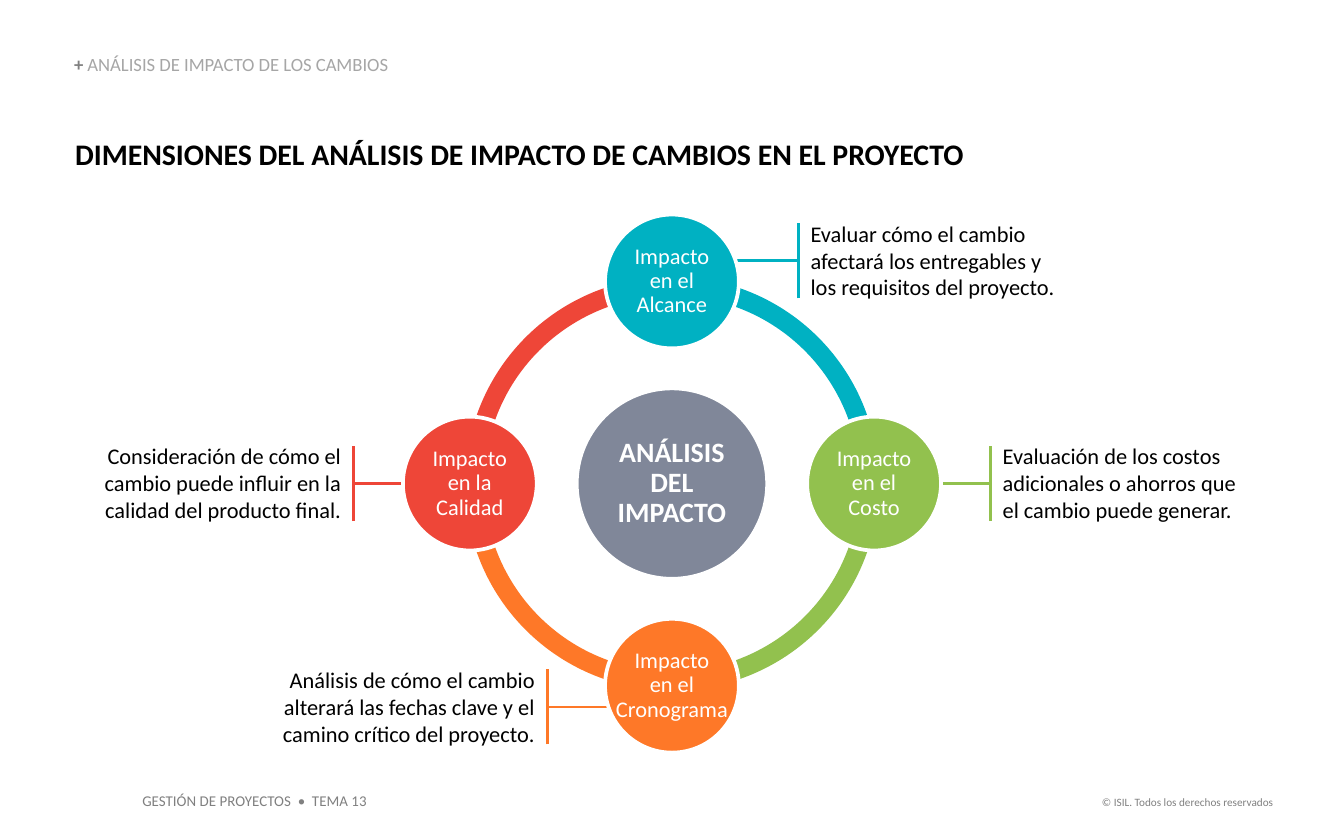
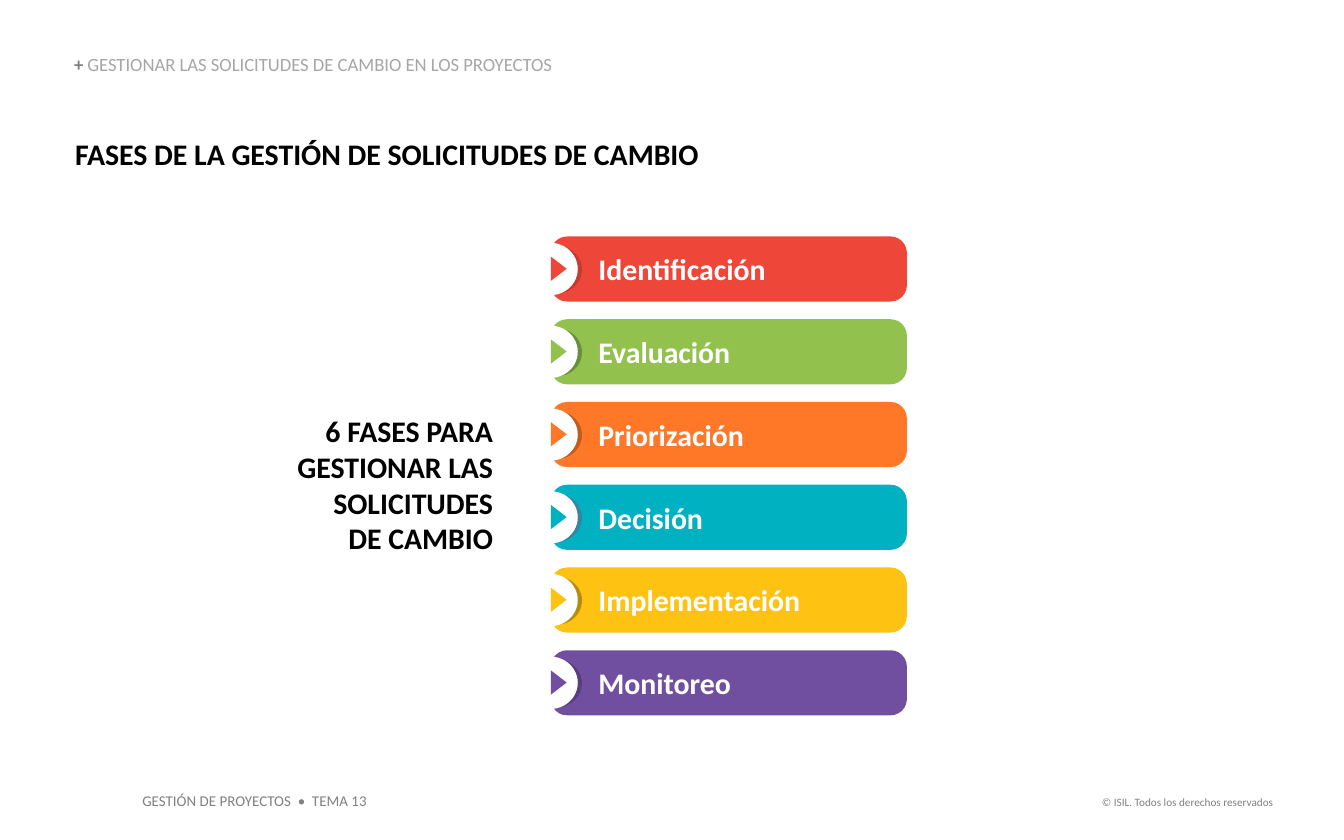
from copy import deepcopy
from dataclasses import dataclass
from math import cos, radians, sin

from lxml import etree
from pptx import Presentation
from pptx import util as u
from pptx.dml.color import RGBColor
from pptx.enum import shapes, text
from pptx.oxml.ns import qn

MSO = shapes.MSO_SHAPE
LEFT, CENTER, RIGHT = text.PP_ALIGN.LEFT, text.PP_ALIGN.CENTER, text.PP_ALIGN.RIGHT
TOP, MIDDLE, BOTTOM = text.MSO_ANCHOR.TOP, text.MSO_ANCHOR.MIDDLE, text.MSO_ANCHOR.BOTTOM
GROW = text.MSO_AUTO_SIZE.SHAPE_TO_FIT_TEXT


@dataclass(frozen=True)
class Theme:
    """Colours and type sizes of the deck."""
    font: str = "Calibri"
    black: str = "000000"
    white: str = "FFFFFF"
    grey: str = "808080"
    pale: str = "A6A6A6"
    slate: str = "808799"
    teal: str = "00B1C2"
    green: str = "92C14E"
    orange: str = "FE7828"
    red: str = "EE4638"
    yellow: str = "FDC212"
    purple: str = "714FA0"
    heading: int = 16
    hub: int = 15
    body: int = 12
    kicker: int = 10
    footer: int = 8
    rights: int = 6


T = Theme()
IMPACTS = [
    (270, T.teal, "Impacto\nen el\nAlcance", (2.39, -4.21, -0.23),
     "Evaluar cómo el cambio afectará los entregables y los requisitos del proyecto."),
    (0, T.green, "Impacto\nen el\nCosto", (6.02, 0, 3.76),
     "Evaluación de los costos adicionales o ahorros que\nel cambio puede generar."),
    (90, T.orange, "Impacto\nen el\nCronograma", (-2.36, 4.22, -0.81),
     "Análisis de cómo el cambio alterará las fechas clave y el camino crítico del proyecto."),
    (180, T.red, "Impacto\nen la\nCalidad", (-6.02, 0, -4.47),
     "Consideración de cómo el cambio puede influir en la calidad del producto final."),
]
PHASES = [
    ("Identificación", T.red, "C73A31"),
    ("Evaluación", T.green, "6A8F3A"),
    ("Priorización", T.orange, "C45B1E"),
    ("Decisión", T.teal, "3885A1"),
    ("Implementación", T.yellow, "B78C0D"),
    ("Monitoreo", T.purple, "593E7F"),
]


def apply(target, values):
    """Set every attribute named in a dict of format values."""
    for name, value in values.items():
        setattr(target, name, value)


def cm(*lengths):
    """Turn centimetres into lengths."""
    return [u.Cm(length) for length in lengths]


def write(shape, pieces, size, align=LEFT, spacing=1.0, insets=(0, 0, 0, 0), **frame):
    """Write (words, colour, bold) pieces as one formatted paragraph."""
    body = shape.text_frame
    margins = zip(("margin_left", "margin_top", "margin_right", "margin_bottom"), cm(*insets))
    apply(body, {"word_wrap": True, **dict(margins), **frame})
    paragraph = body.paragraphs[0]
    apply(paragraph, {"alignment": align, "line_spacing": spacing})
    for words, colour, bold in pieces:
        for number, line in enumerate(words.split("\n")):
            if number:
                paragraph.add_line_break()
            run = paragraph.add_run()
            run.text = line
            apply(run.font, {"name": T.font, "size": u.Pt(size), "bold": bold})
            run.font.color.rgb = RGBColor.from_string(colour)
    for line_break in shape.element.iter(qn("a:br")):
        line_break.append(deepcopy(shape.element.find(".//" + qn("a:rPr"))))


def label(slide, box, pieces, size, **style):
    """Add a text box that grows with its text."""
    shape = slide.shapes.add_textbox(*cm(*box))
    write(shape, pieces, size, **{"auto_size": GROW, **style})
    return shape


def solid(slide, kind, box, colour, outline=None):
    """Add a flat preset shape."""
    shape = slide.shapes.add_shape(kind, *cm(*box))
    shape.shadow.inherit = False
    shape.fill.solid()
    shape.fill.fore_color.rgb = RGBColor.from_string(colour)
    if outline:
        shape.line.color.rgb = RGBColor.from_string(outline)
        shape.line.width = u.Pt(2)
    else:
        shape.line.fill.background()
    return shape


def disc(slide, x, y, diameter, colour, words, size, bold, wrap):
    """Add a white-edged circle around a centre."""
    box = (x - diameter / 2, y - diameter / 2, diameter, diameter)
    circle = solid(slide, MSO.OVAL, box, colour, T.white)
    write(circle, [(words, T.white, bold)], size, align=CENTER, spacing=0.9,
          vertical_anchor=MIDDLE, word_wrap=wrap)


def rule(slide, ends, colour, dot=False):
    """Draw a straight line, with a dot at its far end if asked."""
    line = slide.shapes.add_connector(shapes.MSO_CONNECTOR.STRAIGHT, *cm(*ends))
    line.line.color.rgb = RGBColor.from_string(colour)
    line.line.width = u.Pt(1.5)
    properties = line.element.spPr
    if dot:
        etree.SubElement(properties.find(qn("a:ln")), qn("a:tailEnd"), type="oval")
    etree.SubElement(properties, qn("a:effectLst"))


def footers(slide):
    """Place the course and rights lines on the slide's layout."""
    insets = (0.25, 0.13, 0.25, 0.13)
    course = label(slide, (2.44, 14.83, 4.75, 0.61),
                   [("GESTIÓN DE PROYECTOS  •  TEMA 13", T.grey, False)],
                   T.footer, insets=insets, word_wrap=False)
    rights = label(slide, (20.09, 14.91, 4.22, 0.51),
                   [("© ISIL. Todos los derechos reservados", T.grey, False)],
                   T.rights, align=RIGHT, insets=insets, word_wrap=False)
    for number, line in enumerate((course, rights), 100):
        line.element.nvSpPr.cNvPr.id = number
        slide.slide_layout.shapes.element.append(line.element)


def header(slide, section, heading, width):
    """Place the section line and format the title."""
    title = slide.shapes.title
    apply(title, dict(zip(("left", "top", "width", "height"), cm(1.42, 2.57, width, 0.69))))
    write(title, [(heading, T.black, True)], T.heading, vertical_anchor=TOP, auto_size=GROW)
    label(slide, (1.4, 1.04, 9.96, 0.38),
          [("+ ", T.grey, True), (section, T.pale, False)],
          T.kicker, spacing=0.9, vertical_anchor=BOTTOM)


def callout(slide, stem, middle, lead_end, side, colour, words):
    """Place a note beside its stem, with a lead to the wheel."""
    width, height, gap, half_stem = 4.9, 1.55, 0.23, 0.71
    left = stem + gap if side > 0 else stem - gap - width
    label(slide, (left, middle - height / 2, width, height), [(words, T.black, False)],
          T.body, align=LEFT if side > 0 else RIGHT)
    rule(slide, (stem, middle, lead_end, middle), colour, dot=True)
    rule(slide, (stem, middle + half_stem, stem, middle - half_stem), colour)


def impact_wheel(slide, left, top, size):
    """Draw the hub, ring, nodes and notes of the impact wheel."""
    x, y, orbit = left + size / 2, top + size / 2, 3.82
    for angle, colour, _, (stem, rise, lead_end), note in IMPACTS:
        callout(slide, x + stem, y + rise, x + lead_end, stem, colour, note)
    for angle, colour, *_ in IMPACTS:
        arc = solid(slide, MSO.BLOCK_ARC, (left, top, size, size), colour)
        for index, value in enumerate((angle * 0.6, (angle + 90) % 360 * 0.6, 0.046)):
            arc.adjustments[index] = value
    disc(slide, x, y, 3.6, T.slate, "ANÁLISIS DEL IMPACTO", T.hub, True, True)
    for angle, colour, name, *_ in IMPACTS:
        turn = radians(angle)
        disc(slide, x + orbit * cos(turn), y + orbit * sin(turn), 2.53, colour,
             name, T.body, False, False)


def phase_bar(slide, left, top, width, height, name, colour, shade):
    """Draw one phase bar with its notch and pointer."""
    bar = solid(slide, MSO.ROUNDED_RECTANGLE, (left, top, width, height), colour)
    bar.adjustments[0] = 0.25
    write(bar, [(name, T.white, True)], T.heading, insets=(0.81, 0.13, 0.25, 0.13),
          vertical_anchor=MIDDLE)
    solid(slide, MSO.OVAL, (left - 0.38, top + 0.17, 0.97, 0.91), shade)
    solid(slide, MSO.OVAL, (left - 0.53, top + 0.12, 1.04, 0.99), T.white)
    pointer = solid(slide, MSO.ISOSCELES_TRIANGLE, (left - 0.08, top + 0.46, 0.46, 0.3), colour)
    pointer.rotation = 90


def phase_stack(slide, left, top, width, height):
    """Spread the phase bars evenly over a box."""
    bar_height = 1.23
    pitch = (height - bar_height) / (len(PHASES) - 1)
    for row, phase in enumerate(PHASES):
        phase_bar(slide, left, top + row * pitch, width, bar_height, *phase)


def main():
    """Build and save the deck."""
    deck = Presentation()
    deck.slide_width, deck.slide_height = cm(25.4, 25.4 * 5 / 8)
    title_only = deck.slide_layouts[5]

    impact = deck.slides.add_slide(title_only)
    footers(impact)
    header(impact, "ANÁLISIS DE IMPACTO DE LOS CAMBIOS",
           "DIMENSIONES DEL ANÁLISIS DE IMPACTO DE CAMBIOS EN EL PROYECTO", 21.03)
    impact_wheel(impact, 8.79, 5.23, 7.82)

    phases = deck.slides.add_slide(title_only)
    header(phases, "GESTIONAR LAS SOLICITUDES DE CAMBIO EN LOS PROYECTOS",
           "FASES DE LA GESTIÓN DE SOLICITUDES DE CAMBIO", 17.58)
    label(phases, (5.13, 7.8, 4.19, 2.74),
          [("6 FASES PARA GESTIONAR LAS SOLICITUDES\nDE CAMBIO", T.black, True)],
          T.heading, align=RIGHT)
    phase_stack(phases, 10.41, 4.47, 6.73, 9.05)

    deck.save("out.pptx")


if __name__ == "__main__":
    main()
